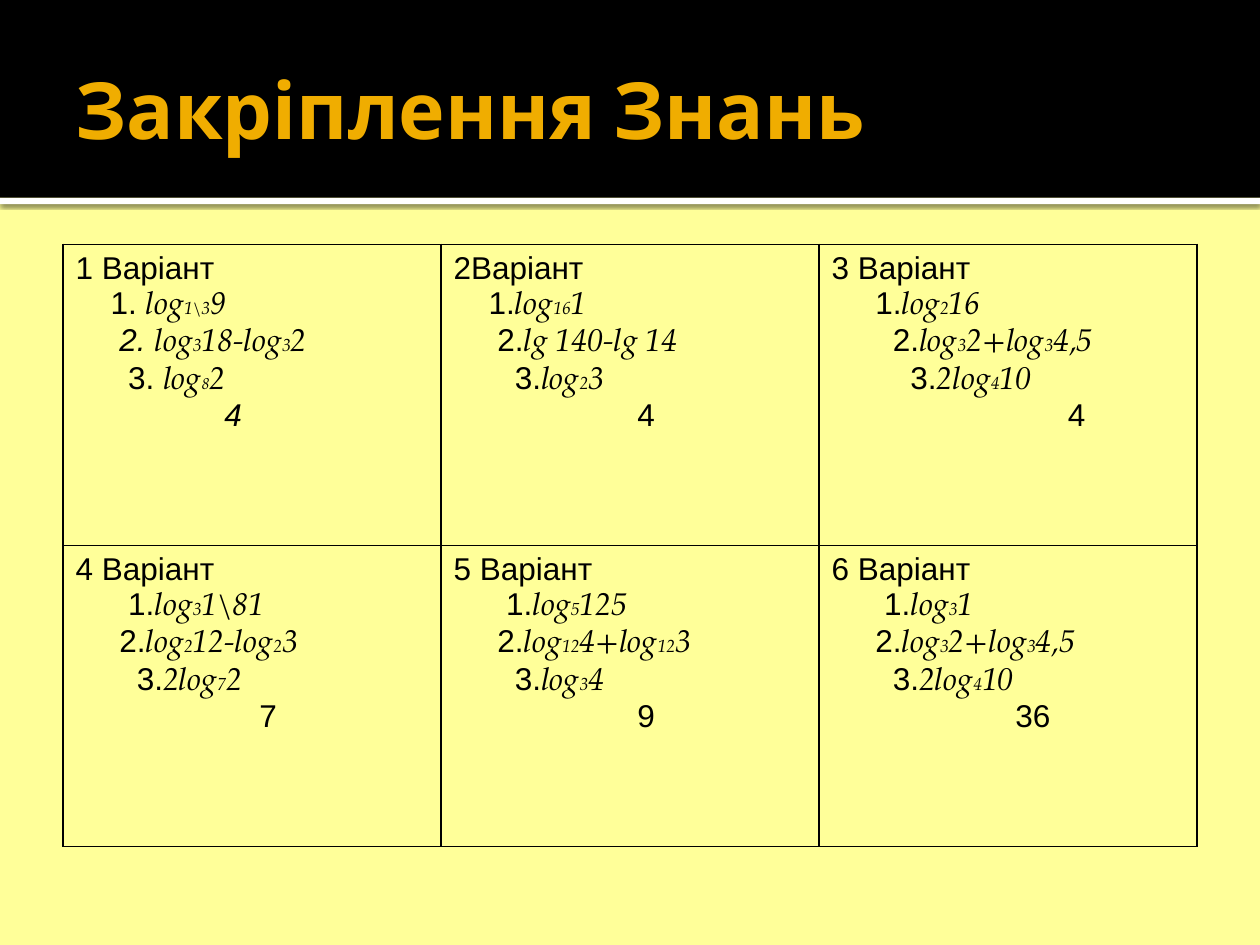
import pptx
import pptx.util
import pptx.dml.color
import pptx.enum.shapes
import pptx.enum.text
import pptx.oxml
import pptx.oxml.ns

COLORS = {"paper": "FFFF99", "band": "000000", "strip": "FFFFFF",
          "title": "F0AD00", "ink": "000000"}
FONTS = {"title": "Cabin", "label": "Arial", "formula": "TeX Gyre Pagella"}
TITLE = "Закріплення Знань"
SPACE_WIDTH = 5
SUBSCRIPT_SIZES = {"8": 9}

VARIANTS = [
    [
        [(0, "1 Варіант", ""), (4, "1. ", r"log_1\3_9"),
         (5, "2. ", "log_3_18-log_3_2", True), (6, "3. ", "log_8_2"), (17, "4", "", True)],
        [(0, "2Варіант", ""), (4, "1.", "log_16_1"),
         (5, "2.", "lg 140-lg 14"), (7, "3.", "log_2_3"), (21, "4", "")],
        [(0, "3 Варіант", ""), (5, "1.", "log_2_16"),
         (7, "2.", "log_3_2+log_3_4,5"), (9, "3.", "2log_4_10"), (27, "4", "")],
    ],
    [
        [(0, "4 Варіант", ""), (6, "1.", r"log_3_1\81"),
         (5, "2.", "log_2_12-log_2_3"), (7, "3.", "2log_7_2"), (21, "7", "")],
        [(0, "5 Варіант", ""), (6, "1.", "log_5_125"),
         (5, "2.", "log_12_4+log_12_3"), (7, "3.", "log_3_4"), (21, "9", "")],
        [(0, "6 Варіант", ""), (6, "1.", "log_3_1"),
         (5, "2.", "log_3_2+log_3_4,5"), (7, "3.", "2log_4_10"), (21, "36", "")],
    ],
]


def rgb(name):
    return pptx.dml.color.RGBColor.from_string(COLORS[name])


def style(span, font, size, color, bold=False, italic=False):
    span.font.name = FONTS[font]
    span.font.size = pptx.util.Pt(size)
    span.font.color.rgb = rgb(color)
    span.font.bold = bold
    span.font.italic = italic


def xml(tag, attributes, content=""):
    namespace = pptx.oxml.ns.nsdecls("a")
    return pptx.oxml.parse_xml(f"<a:{tag} {namespace} {attributes}>{content}</a:{tag}>")


def add_band(page, top, height, color):
    band = page.shapes.add_shape(
        pptx.enum.shapes.MSO_SHAPE.RECTANGLE, 0, pptx.util.Inches(top),
        deck.slide_width, pptx.util.Inches(height))
    band.shadow.inherit = False
    band.fill.solid()
    band.fill.fore_color.rgb = rgb(color)
    band.line.fill.background()
    return band


def write_line(para, indent, label, formula, italic=False):
    para.alignment = pptx.enum.text.PP_ALIGN.LEFT
    properties = para._p.get_or_add_pPr()
    properties.set("marL", str(pptx.util.Pt(indent * SPACE_WIDTH)))
    properties.set("indent", "0")
    para.text = label
    style(para.runs[0], "label", 18, "ink", italic=italic)
    for index, part in enumerate(formula.split("_") if formula else []):
        span = para.add_run()
        span.text = part
        size = SUBSCRIPT_SIZES.get(part, 10) if index % 2 else 18
        style(span, "formula", size, "ink", italic=True)


def outline(cell):
    cell.fill.background()
    properties = cell._tc.get_or_add_tcPr()
    fill = f'<a:solidFill><a:srgbClr val="{COLORS["ink"]}"/></a:solidFill>'
    for position, side in enumerate("LRTB"):
        properties.insert(position, xml("ln" + side, 'w="12700"', fill))


deck = pptx.Presentation()
deck.slide_width = pptx.util.Inches(10)
deck.slide_height = pptx.util.Inches(7.5)
page = deck.slides.add_slide(deck.slide_layouts[5])
page.background.fill.solid()
page.background.fill.fore_color.rgb = rgb("paper")

strip = add_band(page, 1.57, 0.05, "strip")
effects = strip.element.spPr.find(pptx.oxml.ns.qn("a:effectLst"))
effects.append(xml("outerShdw", 'blurRad="31750" dist="10160" dir="5400000" rotWithShape="0"',
                   '<a:srgbClr val="000000"><a:alpha val="60000"/></a:srgbClr>'))
add_band(page, 0, 1.57, "band")

title = page.shapes.title
title.element.getparent().append(title.element)
title.left, title.top, title.width, title.height = map(
    pptx.util.Inches, (0.5, 0.17, 9, 1.37))
frame = title.text_frame
frame.text = TITLE
frame.vertical_anchor = pptx.enum.text.MSO_ANCHOR.MIDDLE
frame.margin_right = pptx.util.Inches(0.05)
frame.paragraphs[0].alignment = pptx.enum.text.PP_ALIGN.LEFT
style(frame.paragraphs[0].runs[0], "title", 45, "title", bold=True)

table = page.shapes.add_table(
    len(VARIANTS), len(VARIANTS[0]), *map(pptx.util.Inches, (0.5, 1.94, 9, 4.78))).table
table.first_row = table.horz_banding = False
for row, variants in enumerate(VARIANTS):
    for column, lines in enumerate(variants):
        cell = table.cell(row, column)
        outline(cell)
        cell.text_frame.text = "\n".join(label for _, label, *_ in lines)
        for para, line in zip(cell.text_frame.paragraphs, lines):
            write_line(para, *line)

deck.save("out.pptx")
